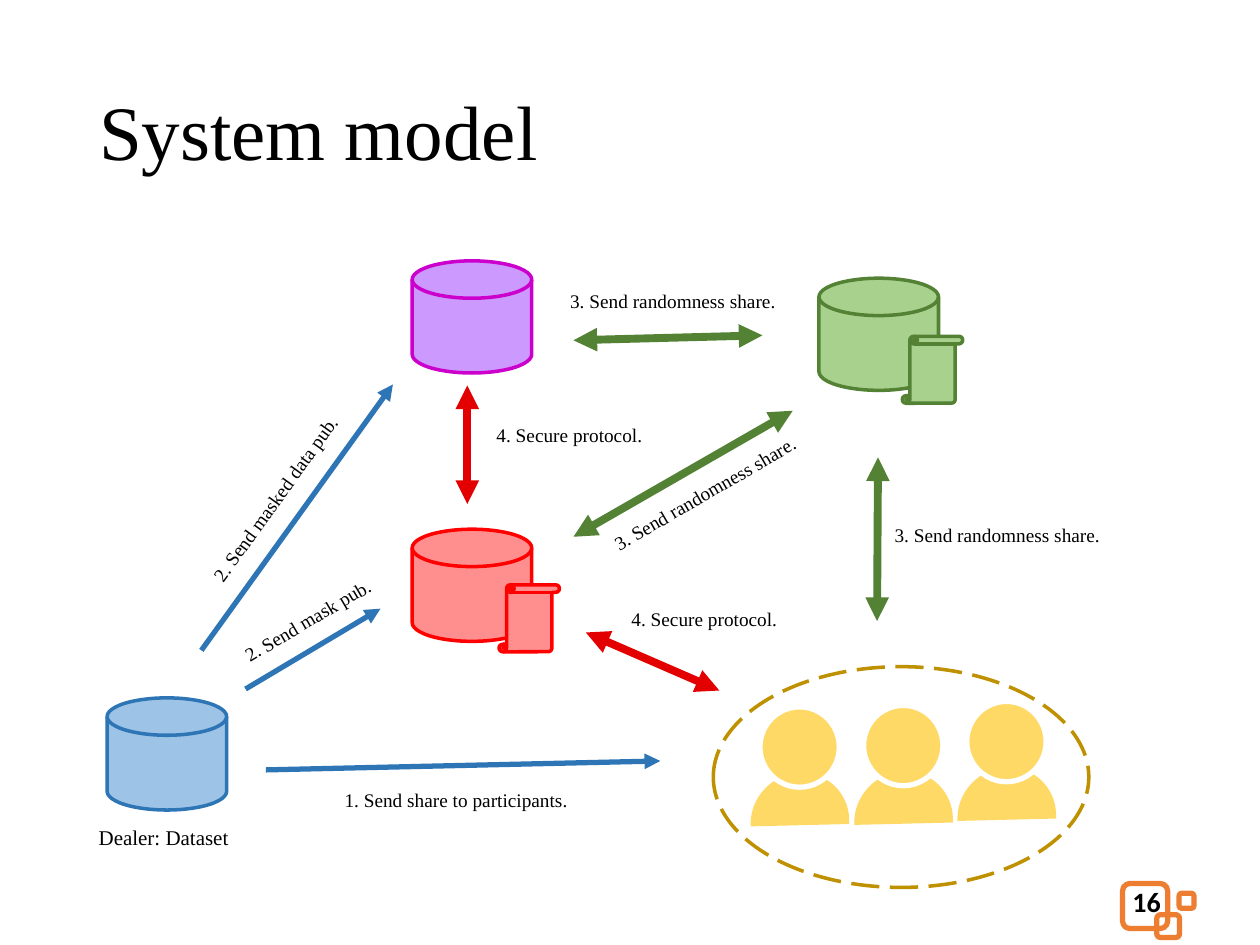
from lxml import etree
from pptx import Presentation
from pptx.dml.color import RGBColor
from pptx.enum.dml import MSO_LINE
from pptx.enum.shapes import MSO_CONNECTOR, MSO_SHAPE
from pptx.enum.text import MSO_ANCHOR, PP_ALIGN
from pptx.oxml.ns import qn
from pptx.util import Cm, Pt

DISK = MSO_SHAPE.FLOWCHART_MAGNETIC_DISK
SCROLL = MSO_SHAPE.VERTICAL_SCROLL
ROUNDED = MSO_SHAPE.ROUNDED_RECTANGLE
OVAL = MSO_SHAPE.OVAL
CHORD = MSO_SHAPE.CHORD
STRAIGHT = MSO_CONNECTOR.STRAIGHT
LONG_DASH = MSO_LINE.LONG_DASH
LEFT, CENTER, RIGHT = PP_ALIGN.LEFT, PP_ALIGN.CENTER, PP_ALIGN.RIGHT
MIDDLE, BOTTOM = MSO_ANCHOR.MIDDLE, MSO_ANCHOR.BOTTOM

SERIF = "Times New Roman"
BLUE, GREEN, RED = "2E75B6", "548235", "E20000"
YELLOW = "FFD966"
color = RGBColor.from_string


def add_styled_shape(kind, box, fill=None, line=None, width=2):
    shape = slide.shapes.add_shape(kind, *map(Cm, box))
    shape.shadow.inherit = False
    if fill:
        shape.fill.solid()
        shape.fill.fore_color.rgb = color(fill)
    else:
        shape.fill.background()
    if line:
        shape.line.color.rgb = color(line)
        shape.line.width = Pt(width)
    else:
        shape.line.fill.background()
    return shape


def add_label(text, box, size=11, rotation=0, align=CENTER, anchor=BOTTOM,
              insets=(0.18, 0.18), font=SERIF):
    label = slide.shapes.add_textbox(*map(Cm, box))
    label.rotation = rotation
    frame = label.text_frame
    frame.word_wrap = True
    frame.vertical_anchor = anchor
    frame.margin_left = frame.margin_right = Cm(insets[0])
    frame.margin_top = frame.margin_bottom = Cm(insets[1])
    frame.text = text
    paragraph = frame.paragraphs[0]
    paragraph.alignment = align
    run = paragraph.runs[0]
    run.font.name = font
    run.font.size = Pt(size)
    run.font.color.rgb = color("000000")
    return paragraph


presentation = Presentation()
presentation.slide_width = Cm(25.4)
presentation.slide_height = Cm(19.05)
slide = presentation.slides.add_slide(presentation.slide_layouts[6])

# Slide number with its ornament of squares
number = add_label("16", (17.93, 17.65, 5.72, 1.02), 16, align=RIGHT,
                   anchor=MIDDLE, insets=(0.25, 0.13), font="Calibri")
number.runs[0].font.bold = True
for left, top, side in [(22.63, 17.81, 0.91), (23.32, 18.44, 0.46),
                        (23.77, 18.01, 0.3)]:
    add_styled_shape(ROUNDED, (left, top, side, side), line="ED7D31", width=3)

# Dealer and servers
for left, top, fill, line in [
    (2.16, 14.07, "9DC3E6", BLUE),
    (8.31, 10.67, "FF8F8F", "FF0000"),
    (8.31, 5.26, "CC99FF", "CC00CC"),
    (16.51, 5.61, "A9D18E", GREEN),
]:
    add_styled_shape(DISK, (left, top, 2.41, 2.26), fill, line)
add_label("Dealer: Dataset", (1.19, 16.43, 4.22, 0.89), 12)

# Participants
for left, top in [(17.2, 15.57), (15.11, 15.6), (19.28, 15.49)]:
    body = add_styled_shape(CHORD, (left, top, 2.03, 1.96), YELLOW)
    body.adjustments[0] = 27
    body.adjustments[1] = 138.87
    body.rotation = 130.4
    add_styled_shape(OVAL, (left + 0.21, top - 1.35, 1.6, 1.62),
                     YELLOW, "FFFFFF", 3)
group_outline = add_styled_shape(OVAL, (14.38, 13.44, 7.57, 4.45), line="BF9000")
group_outline.line.dash_style = LONG_DASH

# Scrolls on the servers
for left, top, fill, line in [(18.19, 6.78, "A9D18E", GREEN),
                              (10.06, 11.79, "FF8F8F", "FF0000")]:
    add_styled_shape(SCROLL, (left, top, 1.22, 1.35), fill, line)

# Title
title = add_label("System model", (1.75, 0.89, 21.89, 3.68), 44, align=LEFT,
                  anchor=MIDDLE, insets=(0.25, 0.13))
title.line_spacing = 0.9

# Messages: arrow ends, colour, label, label box, label rotation
# Blue arrows point one way, to their first end; the others point both ways
SHARE = "3. Send randomness share."
PROTOCOL = "4. Secure protocol."
messages = [
    ((13.31, 15.34, 5.36, 15.52), BLUE, "1. Send share to participants.",
     (5.41, 15.47, 7.57, 1.07), 0),
    ((7.67, 12.27, 4.95, 13.89), BLUE, "2. Send mask pub.",
     (3.71, 11.86, 4.85, 1.07), 329.5),
    ((7.92, 7.75, 4.06, 13.11), BLUE, "2. Send masked data pub.",
     (1.7, 9.45, 7.49, 1.07), 305.8),
    ((11.56, 6.86, 15.37, 6.76), GREEN, SHARE, (11, 5.41, 5.13, 1.07), 0),
    ((11.56, 10.82, 15.98, 8.28), GREEN, SHARE, (11.58, 9.3, 5.13, 1.07), 329.9),
    ((17.68, 12.52, 17.7, 9.22), GREEN, SHARE, (17.78, 10.13, 4.65, 1.07), 0),
    ((9.42, 10.16, 9.42, 7.77), RED, PROTOCOL, (9.7, 8.48, 3.56, 0.69), 0),
    ((11.81, 12.75, 14.5, 13.92), RED, PROTOCOL, (12.42, 12.19, 3.56, 0.69), 0),
]
for ends, line, text, box, rotation in messages:
    arrow = slide.shapes.add_connector(STRAIGHT, *map(Cm, ends))
    arrow.line.color.rgb = color(line)
    arrow.line.width = Pt(3 if line == BLUE else 4.5)
    line_xml = arrow.line._get_or_add_ln()
    for end in ["a:headEnd"] if line == BLUE else ["a:headEnd", "a:tailEnd"]:
        etree.SubElement(line_xml, qn(end), type="triangle")
    etree.SubElement(arrow._element.spPr, qn("a:effectLst"))
    add_label(text, box, rotation=rotation)

presentation.save("out.pptx")
